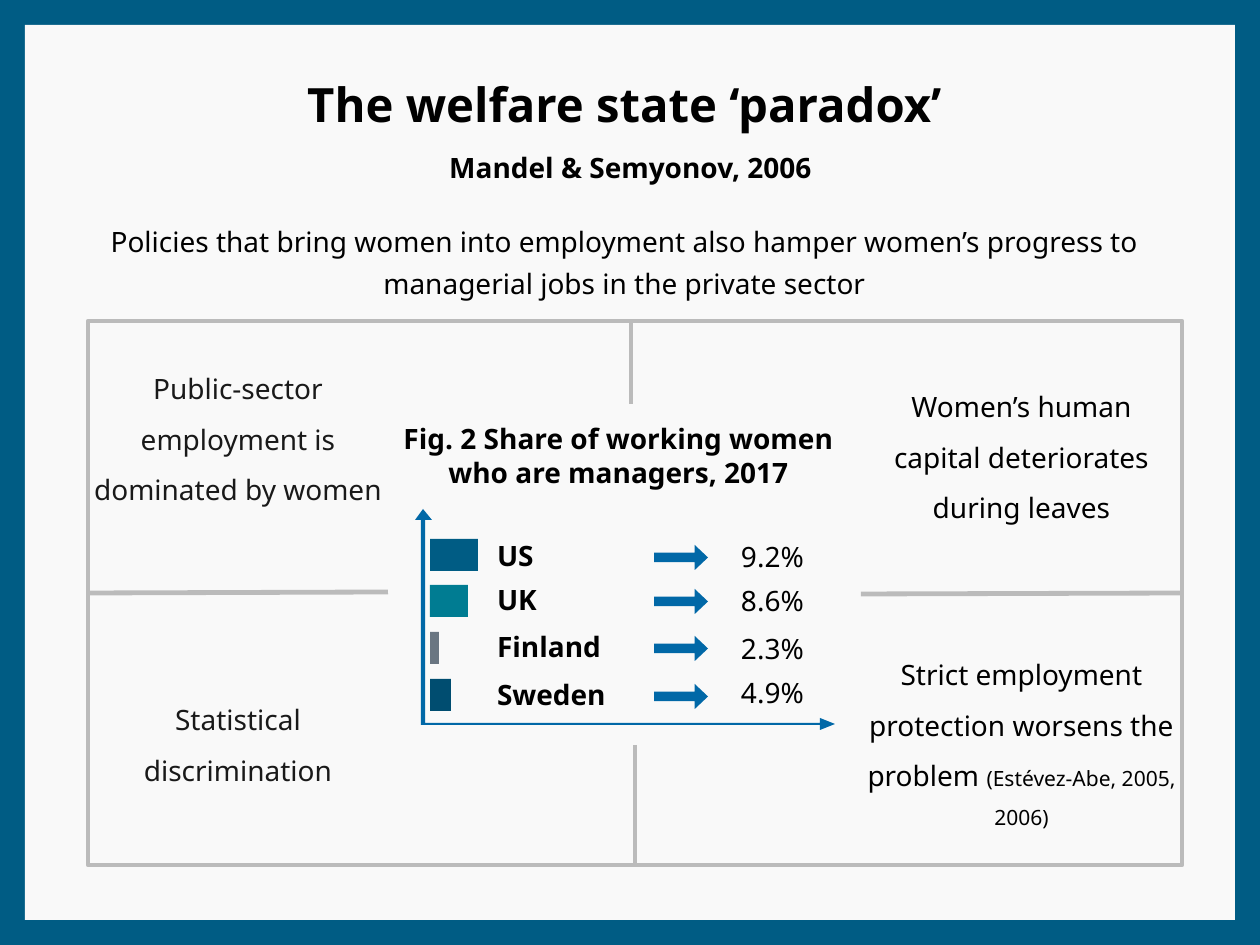
from pptx import Presentation
from pptx.dml.color import RGBColor
from pptx.enum.shapes import MSO_CONNECTOR, MSO_SHAPE
from pptx.enum.text import PP_ALIGN
from pptx.oxml.ns import qn
from pptx.util import Emu, Pt
from lxml import etree

PX = 914400 / 63
FONT = "Noto Sans"
COLORS = {
    "border": "005C84", "panel": "F9F9F9", "grid": "BBBBBB",
    "text": "000000", "soft_text": "191919", "axis": "0168A7",
    "us": "005C84", "uk": "007C92", "finland": "6A7682", "sweden": "004D70",
}
FRAME = (88, 321, 1094, 544)

# country, share, bar colour, bar width, then tops of bar, label and share
COUNTRIES = [
    ("US", "9.2%", "us", 48, 539, 532, 532),
    ("UK", "8.6%", "uk", 38, 585, 576, 576),
    ("Finland", "2.3%", "finland", 9, 632, 623, 624),
    ("Sweden", "4.9%", "sweden", 21, 679, 671, 668),
]
AXES = [
    (835, 724), (820, 718), (820, 723), (425, 723), (425, 520), (432, 520),
    (423, 509), (415, 520), (421, 520), (421, 725), (820, 725), (820, 730),
]


def px(length):
    return Emu(round(length * PX))


def color(name):
    return RGBColor.from_string(COLORS[name])


def paint(shape, fill):
    shape.shadow.inherit = False
    shape.fill.solid()
    shape.fill.fore_color.rgb = color(fill)
    shape.line.fill.background()


def add_block(slide, box, fill, preset=MSO_SHAPE.RECTANGLE):
    block = slide.shapes.add_shape(preset, *map(px, box))
    paint(block, fill)
    return block


def add_frame(slide):
    frame = slide.shapes.add_shape(MSO_SHAPE.RECTANGLE, *map(px, FRAME))
    frame.shadow.inherit = False
    frame.fill.background()
    frame.line.color.rgb = color("grid")
    frame.line.width = Pt(5.5)
    return frame


def add_divider(slide, start, end, frame=None, side=None):
    """Draw a grid line; its end is joined to a side of the frame, if given."""
    divider = slide.shapes.add_connector(
        MSO_CONNECTOR.STRAIGHT, *map(px, start + end))
    divider.line.color.rgb = color("grid")
    divider.line.width = Pt(5.5)
    properties = divider._element.spPr
    etree.SubElement(properties, qn("a:effectLst"))
    if frame is not None:
        divider.end_connect(frame, side)


def format_run(run, size, bold=False, ink="text"):
    run.font.name = FONT
    run.font.size = Pt(size)
    run.font.bold = bold
    run.font.color.rgb = color(ink)


def add_text(slide, box, text, size=32, bold=False, ink="text",
             align=PP_ALIGN.CENTER, spacing=None, inset=(6, 3)):
    frame = slide.shapes.add_textbox(*map(px, box)).text_frame
    frame.word_wrap = True
    frame.margin_left = frame.margin_right = px(inset[0])
    frame.margin_top = frame.margin_bottom = px(inset[1])
    frame.text = text
    paragraph = frame.paragraphs[0]
    paragraph.alignment = align
    if spacing:
        paragraph.line_spacing = spacing
    format_run(paragraph.runs[0], size, bold, ink)
    return frame


def add_heading(slide):
    heading = add_text(slide, (103, 75, 1055, 106), "The welfare state ‘paradox’ ",
                       size=54, bold=True, inset=(0, 0))
    heading.paragraphs[0].space_after = Pt(12)
    authors = heading.add_paragraph()
    authors.text = "Mandel & Semyonov, 2006"
    authors.alignment = PP_ALIGN.CENTER
    authors.line_spacing = 1.25
    format_run(authors.runs[0], 32, bold=True)
    add_text(slide, (77, 213, 1095, 87),
             "Policies that bring women into employment also hamper women’s "
             "progress to managerial jobs in the private sector", spacing=1.25)


def add_quadrants(slide):
    frame = add_frame(slide)
    add_divider(slide, (631, 404), (631, 321))
    add_divider(slide, (388, 592), (88, 593), frame, 1)
    add_divider(slide, (635, 745), (635, 865), frame, 2)
    add_divider(slide, (861, 594), (1182, 593), frame, 3)

    add_text(slide, (88, 352, 300, 203),
             "Public-sector employment is dominated by women",
             ink="soft_text", spacing=1.5)
    add_text(slide, (861, 370, 321, 152),
             "Women’s human capital deteriorates during leaves", spacing=1.5)
    add_text(slide, (88, 683, 300, 101), "Statistical discrimination",
             ink="soft_text", spacing=1.5)
    protection = add_text(
        slide, (861, 638, 321, 192),
        "Strict employment protection worsens the problem ", spacing=1.5)
    citation = protection.paragraphs[0].add_run()
    citation.text = "(Estévez-Abe, 2005, 2006)"
    format_run(citation, 24)


def add_axes(slide):
    builder = slide.shapes.build_freeform(*AXES[0], scale=PX)
    builder.add_line_segments(AXES[1:], close=True)
    paint(builder.convert_to_shape(), "axis")


def add_country(slide, name, share, fill, width, bar_top, label_top, share_top):
    add_block(slide, (430, bar_top, width, 32), fill)
    add_text(slide, (484, label_top, 160, 47), name, bold=True,
             align=PP_ALIGN.LEFT, inset=(13, 6))
    arrow = add_block(slide, (654, label_top + 13, 54, 25), "axis",
                      MSO_SHAPE.RIGHT_ARROW)
    arrow.adjustments[0] = 0.38
    arrow.adjustments[1] = 0.53
    add_text(slide, (724, share_top, 110, 51), share,
             align=PP_ALIGN.LEFT, inset=(17, 8))


def add_figure(slide):
    add_text(slide, (369, 416, 499, 81),
             "Fig. 2 Share of working women who are managers, 2017",
             bold=True, inset=(13, 6))
    add_axes(slide)
    for country in COUNTRIES:
        add_country(slide, *country)


def main():
    deck = Presentation()
    deck.slide_width, deck.slide_height = px(1260), px(945)
    slide = deck.slides.add_slide(deck.slide_layouts[6])
    slide.background.fill.solid()
    slide.background.fill.fore_color.rgb = color("border")
    add_block(slide, (25, 25, 1210, 895), "panel")
    add_heading(slide)
    add_quadrants(slide)
    add_figure(slide)
    deck.save("out.pptx")


if __name__ == "__main__":
    main()
